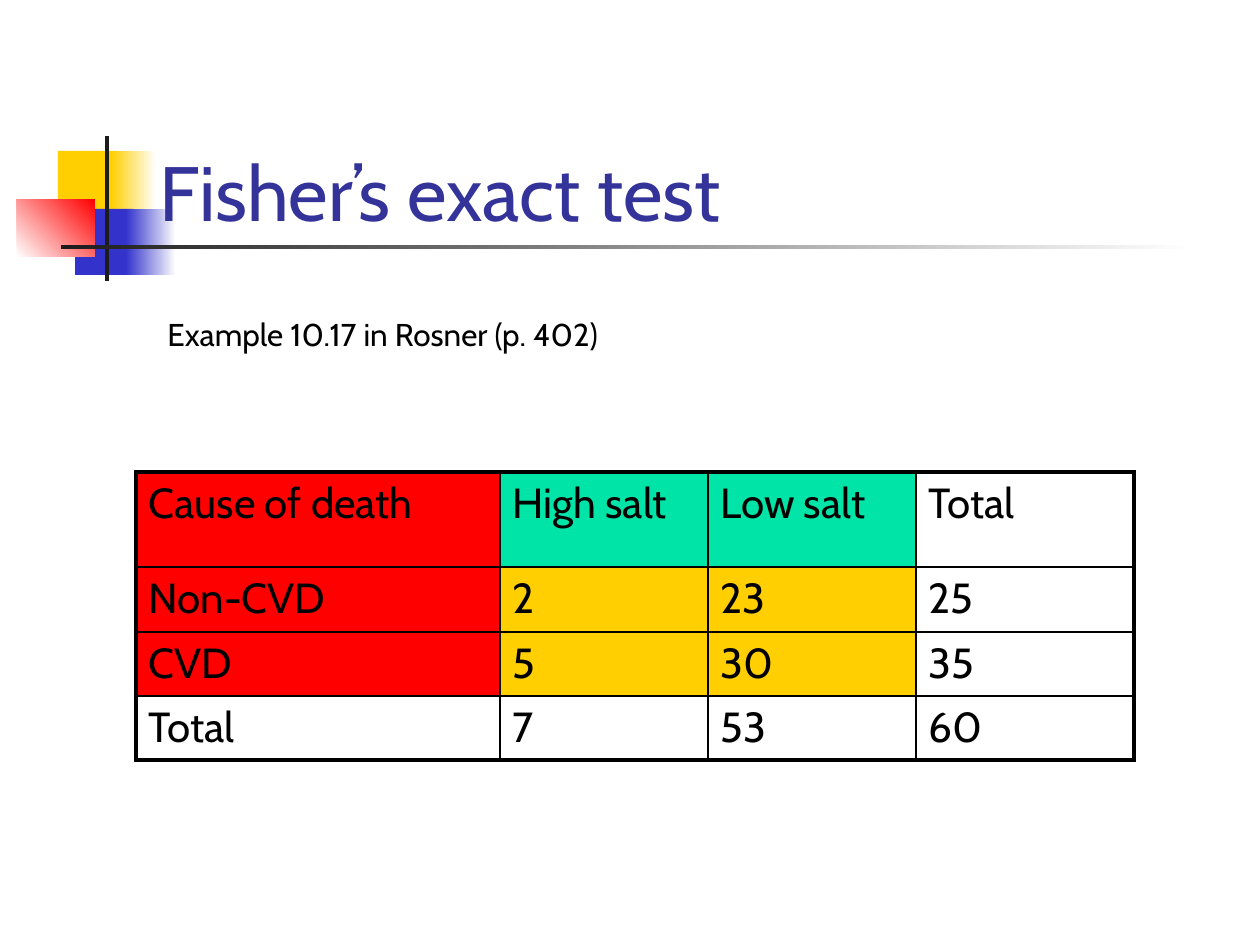
from dataclasses import dataclass
from typing import Optional

from lxml.etree import SubElement
from pptx import Presentation
from pptx.dml.color import RGBColor
from pptx.enum.shapes import MSO_SHAPE
from pptx.enum.text import MSO_ANCHOR
from pptx.oxml.ns import qn
from pptx.util import Emu, Pt


@dataclass(frozen=True)
class Theme:
    font: str = "Cabin"
    title_size: int = 44
    table_size: int = 24
    note_size: int = 18
    title: str = "333399"
    text: str = "000000"
    white: str = "FFFFFF"
    yellow: str = "FFCF01"
    blue: str = "3333CC"
    red: str = "FF0000"
    green: str = "00E4A8"
    dark: str = "1C1C1C"
    thin: float = 1
    thick: float = 2.25


@dataclass(frozen=True)
class Block:
    x: int
    y: int
    w: int
    h: int
    color: str
    end_color: Optional[str] = None
    angle: int = 0


@dataclass(frozen=True)
class Label:
    x: int
    y: int
    w: int
    h: int
    text: str
    size: int
    color: str
    anchor: MSO_ANCHOR = MSO_ANCHOR.TOP
    wrap: bool = True


THEME = Theme()
EMU_PER_PX = 914400 / 126

BLOCKS = [
    Block(58, 151, 60, 66, THEME.yellow),
    Block(111, 151, 45, 66, THEME.yellow, THEME.white),
    Block(75, 209, 58, 66, THEME.blue),
    Block(126, 209, 50, 66, THEME.blue, THEME.white),
    Block(17, 199, 78, 58, THEME.white, THEME.red, 45),
    Block(105, 136, 4, 145, THEME.dark),
    Block(61, 245, 1134, 4, THEME.dark, THEME.white),
]

LABELS = [
    Label(147, 42, 1074, 201, "Fisher’s exact test", THEME.title_size,
          THEME.title, MSO_ANCHOR.BOTTOM),
    Label(155, 309, 495, 50, "Example 10.17 in Rosner (p. 402)",
          THEME.note_size, THEME.text, wrap=False),
]

TABLE_X, TABLE_Y = 136, 472
COL_WIDTHS = [364, 208, 208, 218]
ROW_HEIGHTS = [95, 65, 64, 64]
ROWS = [
    ["Cause of death", "High salt", "Low salt", "Total"],
    ["Non-CVD", "2", "23", "25"],
    ["CVD", "5", "30", "35"],
    ["Total", "7", "53", "60"],
]


def px(n: int) -> Emu:
    return Emu(round(n * EMU_PER_PX))


def rgb(color: str) -> RGBColor:
    return RGBColor.from_string(color)


def style(p, size: int, color: str) -> None:
    p.font.name = THEME.font
    p.font.size = Pt(size)
    p.font.color.rgb = rgb(color)


def add_block(s, b: Block) -> None:
    sp = s.shapes.add_shape(MSO_SHAPE.RECTANGLE, px(b.x), px(b.y), px(b.w), px(b.h))
    sp.shadow.inherit = False
    sp.line.fill.background()
    if b.end_color is None:
        sp.fill.solid()
        sp.fill.fore_color.rgb = rgb(b.color)
        return
    sp.fill.gradient()
    sp.fill.gradient_angle = b.angle
    for i, (stop, color) in enumerate(zip(sp.fill.gradient_stops, (b.color, b.end_color))):
        stop.position = i
        stop.color.rgb = rgb(color)


def add_label(s, label: Label) -> None:
    sp = s.shapes.add_textbox(px(label.x), px(label.y), px(label.w), px(label.h))
    tf = sp.text_frame
    tf.word_wrap = label.wrap
    tf.vertical_anchor = label.anchor
    p = tf.paragraphs[0]
    p.text = label.text
    style(p, label.size, label.color)


def cell_color(row: int, col: int) -> Optional[str]:
    if row == len(ROWS) - 1 or col == len(COL_WIDTHS) - 1:
        return None
    if col == 0:
        return THEME.red
    return THEME.green if row == 0 else THEME.yellow


def set_borders(cell, row: int, col: int) -> None:
    outer = {
        "a:lnL": col == 0,
        "a:lnR": col == len(COL_WIDTHS) - 1,
        "a:lnT": row == 0,
        "a:lnB": row == len(ROWS) - 1,
    }
    tcPr = cell._tc.get_or_add_tcPr()
    for i, (tag, is_outer) in enumerate(outer.items()):
        ln = SubElement(tcPr, qn(tag), w=str(Pt(THEME.thick if is_outer else THEME.thin)))
        SubElement(SubElement(ln, qn("a:solidFill")), qn("a:srgbClr"), val=THEME.text)
        tcPr.insert(i, ln)


def add_salt_table(s) -> None:
    frame = s.shapes.add_table(len(ROWS), len(COL_WIDTHS), px(TABLE_X), px(TABLE_Y),
                               px(sum(COL_WIDTHS)), px(sum(ROW_HEIGHTS)))
    table = frame.table
    table.first_row = False
    table.horz_banding = False
    for column, width in zip(table.columns, COL_WIDTHS):
        column.width = px(width)
    for r, (height, texts) in enumerate(zip(ROW_HEIGHTS, ROWS)):
        table.rows[r].height = px(height)
        for c, text in enumerate(texts):
            cell = table.cell(r, c)
            p = cell.text_frame.paragraphs[0]
            p.text = text
            style(p, THEME.table_size, THEME.text)
            color = cell_color(r, c)
            if color is None:
                cell.fill.background()
            else:
                cell.fill.solid()
                cell.fill.fore_color.rgb = rgb(color)
            set_borders(cell, r, c)


def main() -> None:
    prs = Presentation()
    prs.slide_width, prs.slide_height = px(1260), px(945)
    s = prs.slides.add_slide(prs.slide_layouts[6])
    for block in BLOCKS:
        add_block(s, block)
    for label in LABELS:
        add_label(s, label)
    add_salt_table(s)
    prs.save("out.pptx")


if __name__ == "__main__":
    main()
